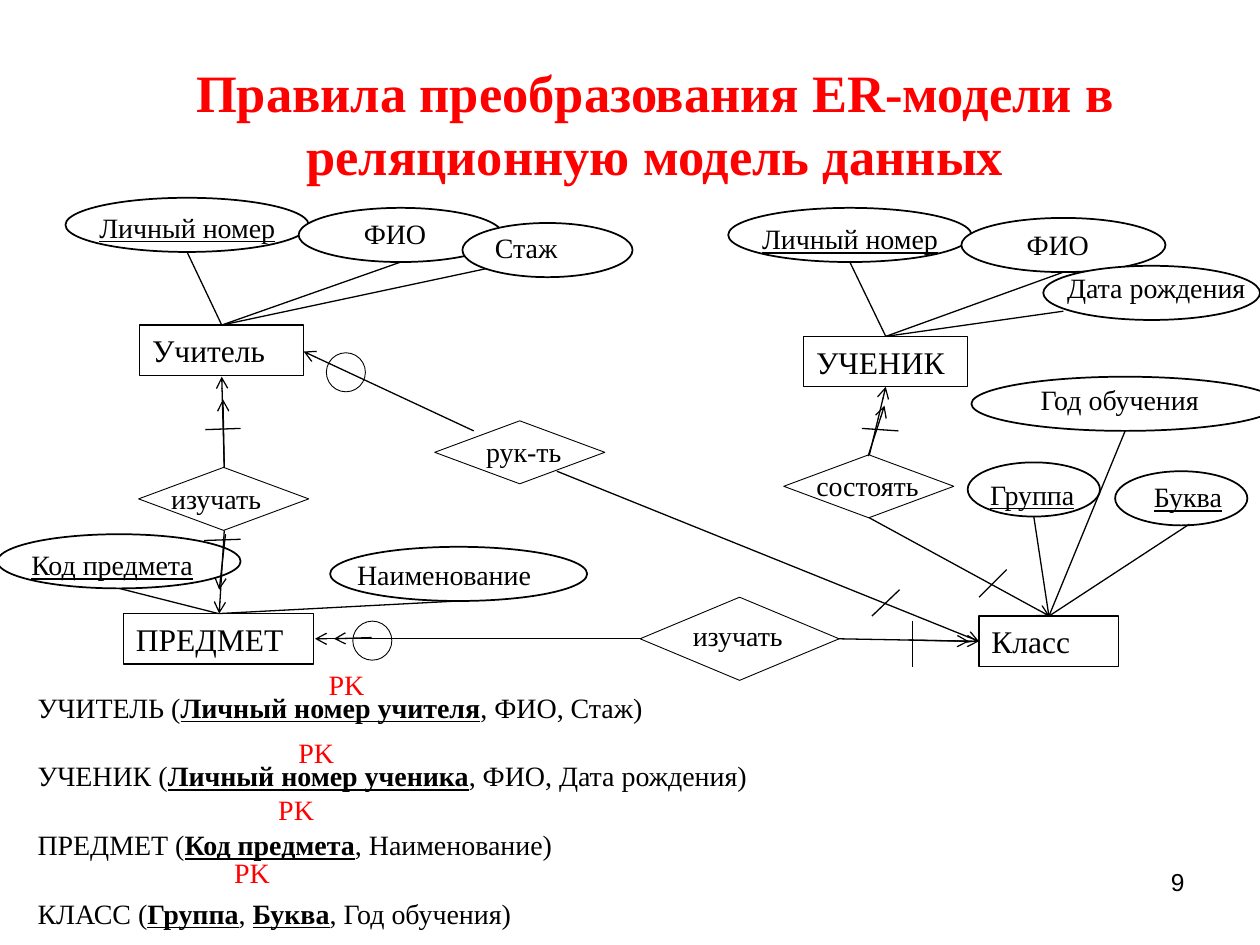
from dataclasses import dataclass
from typing import Optional

from lxml import etree
from pptx import Presentation
from pptx import util as u
from pptx.dml.color import RGBColor
from pptx.enum import shapes, text
from pptx.oxml.ns import qn

Inches, Pt = u.Inches, u.Pt
Align = text.PP_ALIGN
Preset = shapes.MSO_SHAPE


@dataclass(frozen=True)
class Theme:
    ink: RGBColor = RGBColor(0, 0, 0)
    accent: RGBColor = RGBColor(255, 0, 0)
    paper: RGBColor = RGBColor(255, 255, 255)
    serif: str = "Times New Roman"
    sans: str = "Arial"
    title: int = 30
    entity: int = 18
    body: int = 16
    number: int = 14
    thin: float = 0.5
    normal: float = 0.75
    oval: float = 1


THEME = Theme()
LABEL_HEIGHT = 0.37


@dataclass(frozen=True)
class Attribute:
    name: str
    oval: tuple
    label: tuple
    key: bool = False
    centred: bool = False
    filled: bool = True
    link_start: Optional[tuple] = None


ENTITIES = [
    ("ПРЕДМЕТ", (0.98, 4.87, 1.51, 0.4), [
        Attribute("Код предмета", (-0.02, 4.24, 1.93, 0.43), (0.15, 4.3, 1.77), key=True),
        Attribute("Наименование", (2.62, 4.34, 2.04, 0.43), (2.64, 4.38, 1.77), centred=True),
    ]),
    ("Класс", (7.77, 4.89, 1.11, 0.4), [
        Attribute("Группа", (7.68, 3.67, 1.05, 0.43), (7.76, 3.74, 0.88), key=True),
        Attribute("Буква", (8.85, 3.74, 1.05, 0.43), (9.06, 3.76, 0.88), key=True,
                  filled=False, link_start=(9.44, 4.16)),
        Attribute("Год обучения", (7.71, 2.99, 2.44, 0.43), (8.16, 2.99, 1.82)),
    ]),
    ("Учитель", (1.11, 2.58, 1.3, 0.4), [
        Attribute("Личный номер", (0.52, 1.57, 1.93, 0.43), (0.69, 1.62, 1.77), key=True),
        Attribute("ФИО", (2.37, 1.65, 1.62, 0.43), (2.47, 1.67, 1.33), centred=True),
        Attribute("Стаж", (3.67, 1.77, 1.35, 0.43), (3.83, 1.78, 1.18),
                  link_start=(3.87, 2.13)),
    ]),
    ("УЧЕНИК", (6.38, 2.67, 1.3, 0.4), [
        Attribute("Личный номер", (5.78, 1.65, 1.93, 0.43), (5.95, 1.71, 1.77), key=True),
        Attribute("ФИО", (7.63, 1.73, 1.62, 0.43), (7.73, 1.76, 1.33), centred=True),
        Attribute("Дата рождения", (8.28, 2.11, 1.72, 0.43), (8.37, 2.1, 1.72),
                  link_start=(8.44, 2.47)),
    ]),
]

RELATIONSHIPS = [
    ("изучать", (5.08, 4.74, 1.58, 0.66), (5.4, 4.86)),
    ("изучать", (1.1, 3.71, 1.35, 0.5), (1.26, 3.77)),
    ("состоять", (6.22, 3.61, 1.35, 0.5), (6.38, 3.67)),
    ("рук-ть", (3.45, 3.34, 1.35, 0.5), (3.76, 3.4)),
]

ARROWS = [
    ((6.65, 5.07), (7.77, 5.09)), ((7.21, 5.08), (7.69, 5.09)),
    ((5.08, 5.07), (2.5, 5.07)), ((2.95, 5.06), (2.65, 5.07)),
    ((6.9, 3.61), (7.03, 3.07)), ((6.89, 3.62), (7.02, 3.22)),
    ((6.9, 4.11), (8.33, 4.89)), ((4.42, 3.74), (7.77, 5.09)),
    ((3.76, 3.42), (2.41, 2.79)),
    ((1.78, 4.21), (1.74, 4.87)), ((1.79, 4.24), (1.74, 4.68)),
    ((1.78, 3.71), (1.76, 2.99)), ((1.78, 3.71), (1.77, 3.17)),
]

MANDATORY_TICKS = [
    ((7.24, 4.93), (7.24, 5.29)), ((6.84, 3.4), (7.13, 3.42)),
    ((7.99, 4.52), (7.77, 4.74)), ((7.14, 4.68), (6.92, 4.89)),
    ((1.63, 3.41), (1.91, 3.4)), ((1.62, 4.29), (1.91, 4.28)),
]

OPTIONAL_CIRCLES = [(2.8, 4.93), (2.59, 2.8)]

RELATIONS = [
    ("УЧИТЕЛЬ", ["Личный номер учителя"], "ФИО, Стаж"),
    ("УЧЕНИК", ["Личный номер ученика"], "ФИО, Дата рождения"),
    ("ПРЕДМЕТ", ["Код предмета"], "Наименование"),
    ("КЛАСС", ["Группа", "Буква"], "Год обучения"),
]

KEY_MARKS = [(2.51, 5.25), (2.27, 5.79), (2.11, 6.24), (1.76, 6.74)]


def style_run(run, size, color=THEME.ink, font=THEME.serif, bold=False, underline=False):
    run.font.size = Pt(size)
    run.font.name = font
    run.font.color.rgb = color
    run.font.bold = bold
    run.font.underline = underline


def write(frame, words, size, align=Align.JUSTIFY, **style):
    frame.word_wrap = True
    frame.text = words
    paragraph = frame.paragraphs[0]
    paragraph.alignment = align
    style_run(paragraph.runs[0], size, **style)


def add_label(slide, box, words, size=THEME.body, anchor=text.MSO_ANCHOR.TOP, **style):
    label = slide.shapes.add_textbox(*map(Inches, box))
    label.text_frame.vertical_anchor = anchor
    write(label.text_frame, words, size, **style)


def add_outline(slide, preset, box, width, filled=False):
    outline = slide.shapes.add_shape(preset, *map(Inches, box))
    outline.shadow.inherit = False
    if filled:
        outline.fill.solid()
        outline.fill.fore_color.rgb = THEME.paper
    else:
        outline.fill.background()
    outline.line.color.rgb = THEME.ink
    outline.line.width = Pt(width)
    return outline


def add_line(slide, start, end, arrow=False):
    line = slide.shapes.add_connector(
        shapes.MSO_CONNECTOR.STRAIGHT, *map(Inches, (*start, *end)))
    line.line.color.rgb = THEME.ink
    line.line.width = Pt(THEME.normal)
    if arrow:
        etree.SubElement(line.line._get_or_add_ln(), qn("a:tailEnd"), type="arrow")
    etree.SubElement(line._element.spPr, qn("a:effectLst"))


def add_attribute(slide, attribute, entity_top):
    left, top, width, height = attribute.oval
    start = attribute.link_start or (left + width / 2, top + height)
    add_line(slide, start, entity_top)
    add_outline(slide, Preset.OVAL, attribute.oval, THEME.oval, attribute.filled)
    add_label(slide, (*attribute.label, LABEL_HEIGHT), attribute.name,
              align=Align.CENTER if attribute.centred else Align.JUSTIFY,
              underline=attribute.key)


def add_entity(slide, name, box, attributes):
    entity = add_outline(slide, Preset.RECTANGLE, box, THEME.normal)
    entity.text_frame.vertical_anchor = text.MSO_ANCHOR.TOP
    write(entity.text_frame, name, THEME.entity)
    left, top, width, _ = box
    for attribute in attributes:
        add_attribute(slide, attribute, (left + width / 2, top))


def add_relations(slide):
    frame = slide.shapes.add_textbox(*map(Inches, (0.2, 5.43, 8.66, 1.99))).text_frame
    frame.word_wrap = True
    for index, (name, keys, others) in enumerate(RELATIONS):
        paragraph = frame.add_paragraph() if index else frame.paragraphs[0]
        paragraph.alignment = Align.JUSTIFY
        paragraph.space_before = Pt(20 if index else 0)
        pieces = [(f"{name} (", False)]
        for key in keys:
            pieces += [(key, True), (", ", False)]
        for words, is_key in pieces + [(f"{others})", False)]:
            run = paragraph.add_run()
            run.text = words
            style_run(run, THEME.body, bold=is_key, underline=is_key)


def main():
    deck = Presentation()
    deck.slide_width, deck.slide_height = Inches(10), Inches(7.5)
    slide = deck.slides.add_slide(deck.slide_layouts[6])
    add_label(slide, (7.17, 6.83, 2.33, 0.52), "9", THEME.number,
              align=Align.RIGHT, font=THEME.sans)
    add_label(slide, (0.7, 0.55, 9, 0.85), "Правила преобразования ER-модели в реляционную модель данных",
              THEME.title, anchor=text.MSO_ANCHOR.MIDDLE,
              align=Align.CENTER, color=THEME.accent, bold=True)
    for name, box, attributes in ENTITIES:
        add_entity(slide, name, box, attributes)
    for name, diamond, label in RELATIONSHIPS:
        add_outline(slide, Preset.DIAMOND, diamond, THEME.thin)
        add_label(slide, (*label, 1.05, LABEL_HEIGHT), name)
    for start, end in ARROWS:
        add_line(slide, start, end, arrow=True)
    for start, end in MANDATORY_TICKS:
        add_line(slide, start, end)
    for corner in OPTIONAL_CIRCLES:
        add_outline(slide, Preset.FLOWCHART_CONNECTOR, (*corner, 0.31, 0.31), THEME.thin)
    add_relations(slide)
    for corner in KEY_MARKS:
        add_label(slide, (*corner, 0.49, LABEL_HEIGHT), "PK", color=THEME.accent)
    deck.save("out.pptx")


if __name__ == "__main__":
    main()
